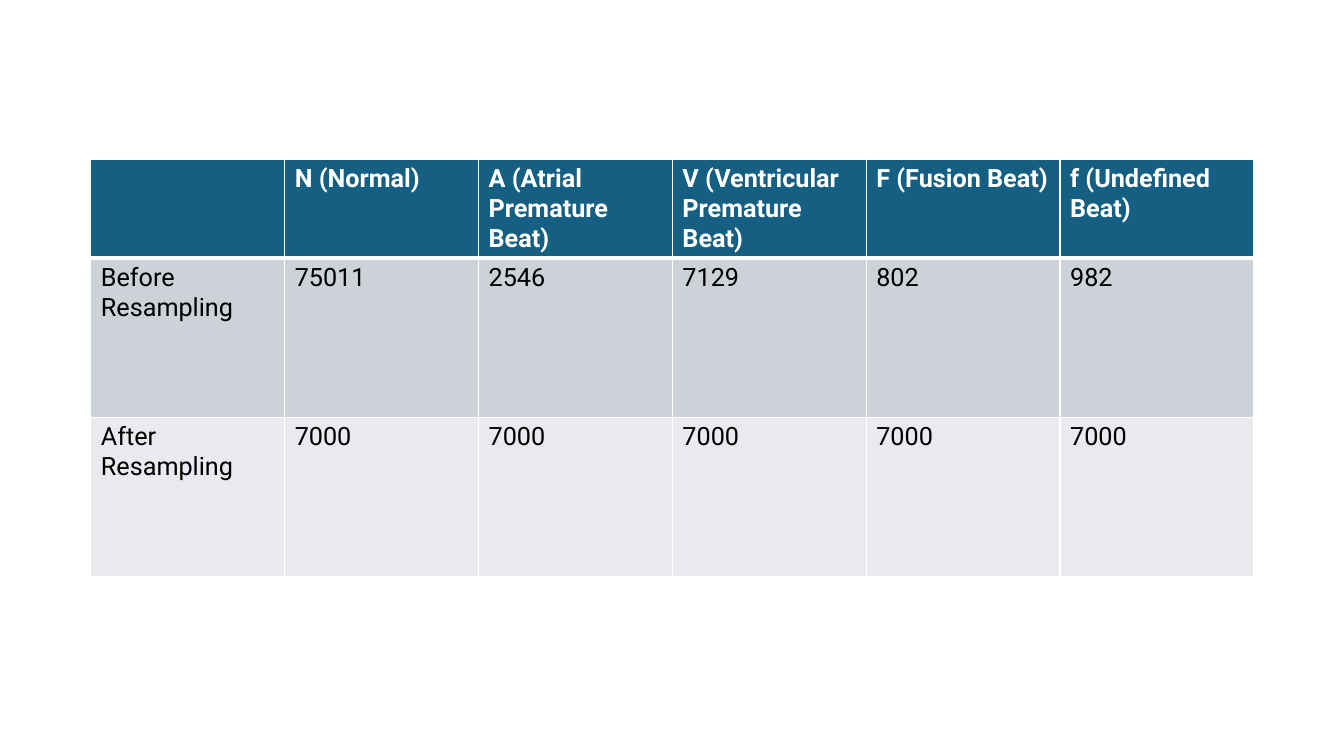
from lxml import etree
from pptx import Presentation, util as u
from pptx.dml.color import RGBColor
from pptx.oxml.ns import qn

# Content
HEADER = ["", "N (Normal)", "A (Atrial Premature Beat)",
          "V (Ventricular Premature Beat)", "F (Fusion Beat)", "f (Undefined Beat)"]
BEFORE = ["Before Resampling", "75011", "2546", "7129", "802", "982"]
AFTER = ["After Resampling"] + ["7000"] * 5

# Style
WHITE = RGBColor(0xFF, 0xFF, 0xFF)
BLACK = RGBColor(0, 0, 0)
TEAL = RGBColor(0x15, 0x60, 0x82)
GREY = RGBColor(0xCC, 0xD2, 0xD8)
PALE = RGBColor(0xE8, 0xEA, 0xED)
FONT, SIZE = "Roboto", u.Pt(18)
THIN, THICK = u.Pt(1), u.Pt(3)

# Layout: texts, height, fill, text colour, bold, top border, bottom border
ROWS = [
    (HEADER, u.Cm(2.34), TEAL, WHITE, True, THIN, THICK),
    (BEFORE, u.Cm(4.01), GREY, BLACK, False, THICK, THIN),
    (AFTER, u.Cm(4.01), PALE, BLACK, False, THIN, THIN),
]
LEFT, TOP, WIDTH = u.Cm(2.29), u.Cm(4.02), u.Cm(29.31)


def add_borders(cell, top, bottom):
    """Draw white lines; they must come before the fill in the cell properties."""
    props = cell._tc.get_or_add_tcPr()
    sides = [("a:lnL", THIN), ("a:lnR", THIN), ("a:lnT", top), ("a:lnB", bottom)]
    for place, (tag, width) in enumerate(sides):
        line = etree.Element(qn(tag), w=str(width))
        fill = etree.SubElement(line, qn("a:solidFill"))
        etree.SubElement(fill, qn("a:srgbClr"), val=str(WHITE))
        props.insert(place, line)


def fill_cell(cell, words, fill, colour, bold):
    cell.fill.solid()
    cell.fill.fore_color.rgb = fill
    para = cell.text_frame.paragraphs[0]
    para.font.size = SIZE
    if words:
        span = para.add_run()
        span.text = words
        span.font.name = FONT
        span.font.size = SIZE
        span.font.bold = bold
        span.font.color.rgb = colour


def main():
    deck = Presentation()
    deck.slide_width, deck.slide_height = u.Cm(33.87), u.Cm(19.05)
    page = deck.slides.add_slide(deck.slide_layouts[6])

    # Beat counts table
    total = sum(row[1] for row in ROWS)
    table = page.shapes.add_table(len(ROWS), len(HEADER), LEFT, TOP, WIDTH, total).table
    table.horz_banding = False
    for column in table.columns:
        column.width = WIDTH // len(HEADER)
    for r, (texts, height, fill, colour, bold, top, bottom) in enumerate(ROWS):
        table.rows[r].height = height
        for c, words in enumerate(texts):
            cell = table.cell(r, c)
            fill_cell(cell, words, fill, colour, bold)
            add_borders(cell, top, bottom)

    deck.save("out.pptx")


if __name__ == "__main__":
    main()
